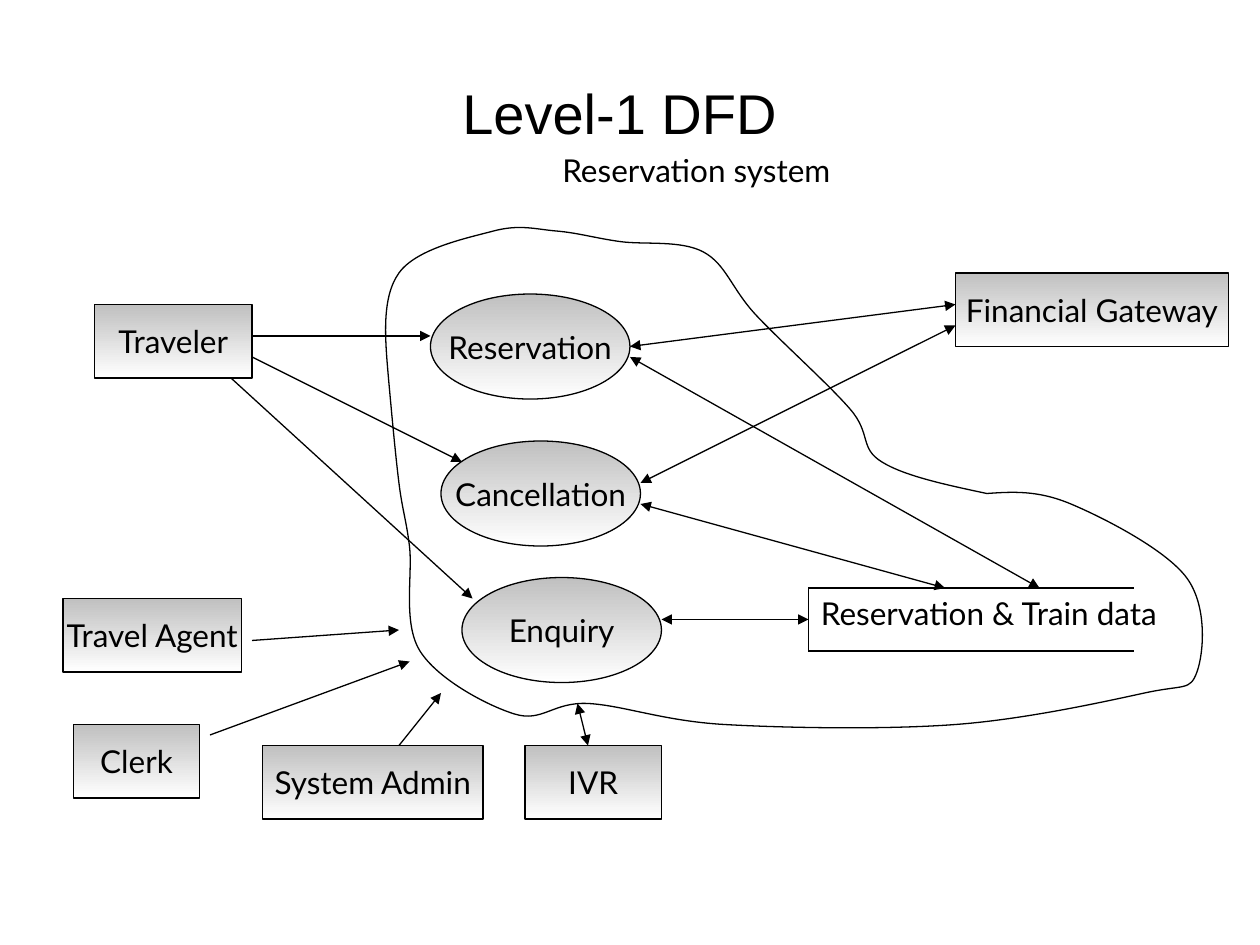
from dataclasses import dataclass

from pptx import Presentation
from pptx.dml.color import RGBColor
from pptx.enum.shapes import MSO_CONNECTOR as Connector, MSO_SHAPE as Shape
from pptx.enum.text import MSO_ANCHOR as Anchor, PP_ALIGN as Align
from pptx.oxml.ns import qn
from pptx.slide import Slide
from pptx.util import Emu, Pt
from lxml.etree import SubElement

EMU_PER_PX = 9525
BLACK = RGBColor(0x00, 0x00, 0x00)
SILVER = RGBColor(0xC0, 0xC0, 0xC0)
WHITE = RGBColor(0xFF, 0xFF, 0xFF)
BODY_FONT = {"name": "Lato", "size": Pt(18)}
TITLE_FONT = {"name": "Arial", "size": Pt(32)}
TITLE_END_FONT = {"name": "Arial", "size": Pt(40)}
NODE_FRAME = {"word_wrap": False, "vertical_anchor": Anchor.MIDDLE}
TITLE_FRAME = {"word_wrap": True, "vertical_anchor": Anchor.MIDDLE}
LABEL_FRAME = {"word_wrap": True, "vertical_anchor": Anchor.TOP}

Point = tuple[float, float]
Run = tuple[str, dict]


@dataclass(frozen=True)
class Node:
    text: str
    left: int
    top: int
    width: int
    height: int = 56
    kind: Shape = Shape.RECTANGLE


@dataclass(frozen=True)
class Label:
    runs: tuple[Run, ...]
    left: int
    top: int
    width: int
    height: int
    frame: dict
    align: Align = Align.LEFT


@dataclass(frozen=True)
class Flow:
    start: tuple[int, int]
    end: tuple[int, int]
    arrows: tuple[str, ...] = ("tailEnd",)


BOTH = ("headEnd", "tailEnd")

LABELS = [
    Label((("Level-1 DFD", TITLE_FONT), (" ", TITLE_END_FONT)),
          70, 33, 819, 96, TITLE_FRAME, Align.CENTER),
    Label((("Reservation system", BODY_FONT),), 419, 110, 232, 67, LABEL_FRAME),
    Label((("Reservation & Train data", BODY_FONT),), 616, 448, 304, 38, LABEL_FRAME),
]

NODES = [
    Node("Reservation", 328, 224, 152, 80, Shape.OVAL),
    Node("Cancellation", 336, 336, 152, 80, Shape.OVAL),
    Node("Enquiry", 352, 440, 152, 80, Shape.OVAL),
    Node("Traveler", 72, 232, 120),
    Node("Financial Gateway", 728, 208, 208),
    Node("Travel Agent", 48, 456, 136),
    Node("Clerk", 56, 552, 96),
    Node("System Admin", 200, 568, 168),
    Node("IVR", 400, 568, 104),
]

FLOWS = [
    Flow((192, 256), (328, 256)),
    Flow((192, 272), (352, 352)),
    Flow((176, 288), (360, 456)),
    Flow((480, 264), (728, 232), BOTH),
    Flow((488, 368), (728, 248), BOTH),
    Flow((504, 472), (616, 472), BOTH),
    Flow((488, 384), (720, 448), BOTH),
    Flow((480, 272), (792, 448), BOTH),
    Flow((192, 488), (304, 480)),
    Flow((160, 560), (312, 504)),
    Flow((304, 568), (336, 528)),
    Flow((448, 568), (440, 536), BOTH),
]

DATA_STORE = [
    Flow((616, 448), (864, 448), ()),
    Flow((616, 496), (864, 496), ()),
    Flow((616, 448), (616, 496), ()),
]

BOUNDARIES = [
    [(296, 288), (304, 208), (376, 176), (424, 176), (472, 184),
     (536, 192), (576, 240), (648, 312), (672, 352), (752, 376)],
    [(296, 288), (304, 368), (312, 416), (320, 496), (392, 544),
     (448, 536), (552, 552), (728, 552), (872, 528), (912, 512),
     (904, 440), (816, 384), (752, 376)],
]


def px(value: float) -> Emu:
    return Emu(round(value * EMU_PER_PX))


def set_all(target, values: dict) -> None:
    for name, value in values.items():
        setattr(target, name, value)


def style_line(line) -> None:
    line.color.rgb = BLACK
    line.width = Pt(0.75)


def write_text(shape, runs: tuple[Run, ...], frame: dict, align: Align) -> None:
    set_all(shape.text_frame, frame)
    paragraph = shape.text_frame.paragraphs[0]
    paragraph.alignment = align
    for text, font in runs:
        run = paragraph.add_run()
        run.text = text
        set_all(run.font, font)
        run.font.color.rgb = BLACK


def add_label(slide: Slide, label: Label) -> None:
    bounds = map(px, (label.left, label.top, label.width, label.height))
    shape = slide.shapes.add_textbox(*bounds)
    write_text(shape, label.runs, label.frame, label.align)


def add_node(slide: Slide, node: Node) -> None:
    bounds = map(px, (node.left, node.top, node.width, node.height))
    shape = slide.shapes.add_shape(node.kind, *bounds)
    shape.shadow.inherit = False
    shape.fill.gradient()
    shape.fill.gradient_angle = 270
    for stop, position, color in zip(shape.fill.gradient_stops, (0, 1), (SILVER, WHITE)):
        stop.position = position
        stop.color.rgb = color
    style_line(shape.line)
    write_text(shape, ((node.text, BODY_FONT),), NODE_FRAME, Align.CENTER)


def add_flow(slide: Slide, flow: Flow) -> None:
    ends = map(px, (*flow.start, *flow.end))
    connector = slide.shapes.add_connector(Connector.STRAIGHT, *ends)
    style_line(connector.line)
    properties = connector._element.spPr
    SubElement(properties, qn("a:effectLst"))
    outline = properties.find(qn("a:ln"))
    for arrow in flow.arrows:
        SubElement(outline, qn(f"a:{arrow}"), type="triangle")


def midpoint(first: Point, second: Point) -> Point:
    return (first[0] + second[0]) / 2, (first[1] + second[1]) / 2


def curve_controls(anchors: list[Point]) -> list[Point]:
    handles = []
    for before, anchor, after in zip(anchors, anchors[1:], anchors[2:]):
        dx, dy = ((b - a) / 6 for a, b in zip(before, after))
        x, y = anchor
        handles += [(x - dx, y - dy), anchor, (x + dx, y + dy)]
    first = midpoint(anchors[0], handles[0])
    last = midpoint(handles[-1], anchors[-1])
    return [first, *handles, last, anchors[-1]]


def add_boundary(slide: Slide, anchors: list[Point]) -> None:
    builder = slide.shapes.build_freeform(*map(px, anchors[0]))
    controls = [(px(x), px(y)) for x, y in curve_controls(anchors)]
    builder.add_line_segments(controls, close=False)
    shape = builder.convert_to_shape()
    shape.shadow.inherit = False
    shape.fill.background()
    style_line(shape.line)
    segments = list(shape._element.iter(qn("a:lnTo")))
    outline = segments[0].getparent()
    for index in range(0, len(segments), 3):
        curve = SubElement(outline, qn("a:cubicBezTo"))
        for segment in segments[index:index + 3]:
            curve.append(segment[0])
            outline.remove(segment)


def main() -> None:
    presentation = Presentation()
    set_all(presentation, {"slide_width": px(960), "slide_height": px(720)})
    slide = presentation.slides.add_slide(presentation.slide_layouts[6])
    for draw, items in (
        (add_label, LABELS),
        (add_node, NODES),
        (add_flow, FLOWS + DATA_STORE),
        (add_boundary, BOUNDARIES),
    ):
        for item in items:
            draw(slide, item)
    presentation.save("out.pptx")


if __name__ == "__main__":
    main()
